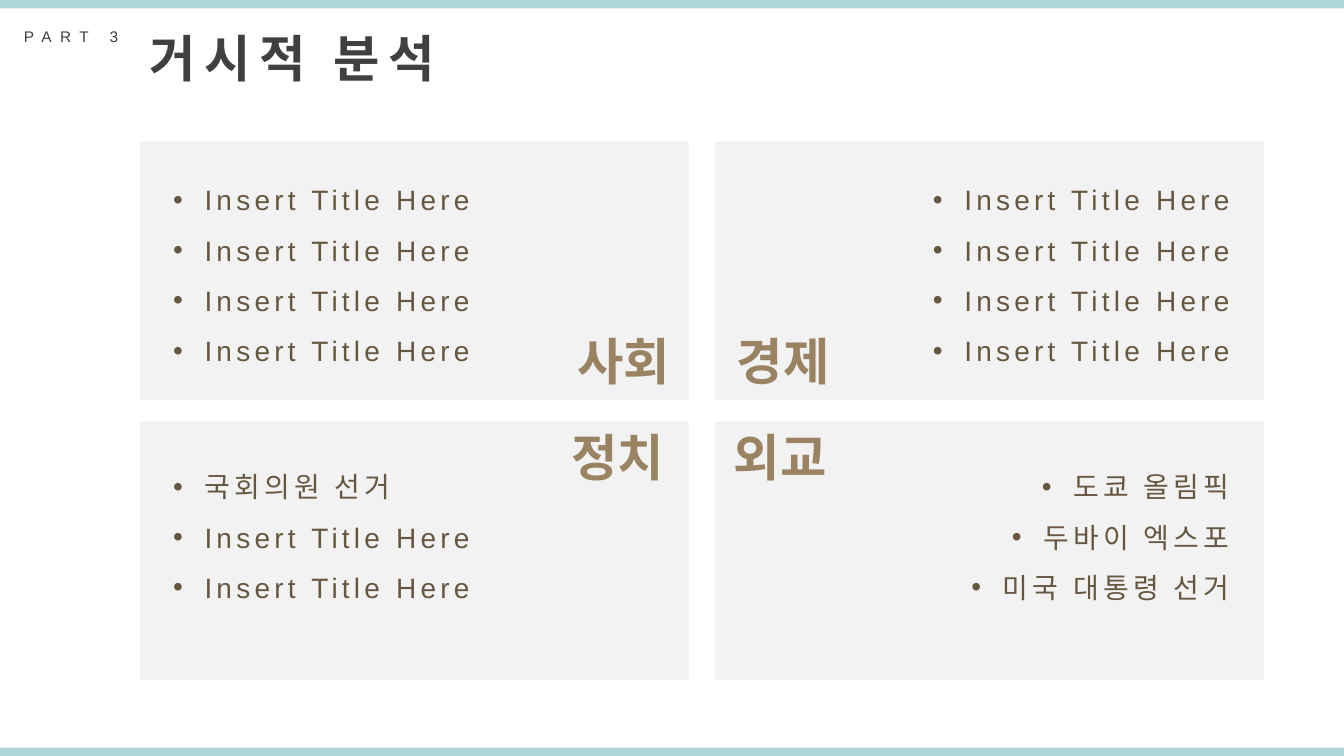
from pptx import Presentation
from pptx.dml.color import RGBColor
from pptx.enum.shapes import MSO_SHAPE
from pptx.enum.text import MSO_AUTO_SIZE, PP_ALIGN
from pptx.util import Pt
from lxml import etree

RECT = MSO_SHAPE.RECTANGLE
GROW = MSO_AUTO_SIZE.SHAPE_TO_FIT_TEXT
LEFT, MID, RIGHT = PP_ALIGN.LEFT, PP_ALIGN.CENTER, PP_ALIGN.RIGHT
NS = "{http://schemas.openxmlformats.org/drawingml/2006/main}"
KOREAN = "Noto Sans CJK KR"
COLORS = {"bar": "AFD7D9", "panel": "F2F2F2", "dark": "404040",
          "label": "9A8362", "item": "665741"}
WIDTH, HEIGHT, BAR = 960, 540, 6

deck = Presentation()
deck.slide_width, deck.slide_height = Pt(WIDTH), Pt(HEIGHT)
slide = deck.slides.add_slide(deck.slide_layouts[6])


def add_rect(box, color):
    rect = slide.shapes.add_shape(RECT, *map(Pt, box))
    rect.shadow.inherit = False
    rect.fill.solid()
    rect.fill.fore_color.rgb = RGBColor.from_string(COLORS[color])
    rect.line.fill.background()


def add_text(box, text, size, color, align=LEFT, font="Arial",
             bold=False, gap=0, wrap=False):
    """Add a text box; gap is the letter spacing in points."""
    frame = slide.shapes.add_textbox(*map(Pt, box)).text_frame
    frame.text = text
    frame.word_wrap = wrap
    frame.auto_size = GROW
    for para in frame.paragraphs:
        para.alignment = align
        run = para.runs[0]
        run.font.size = Pt(size)
        run.font.bold = bold
        run.font.name = font
        run.font.color.rgb = RGBColor.from_string(COLORS[color])
        props = run.font._element
        etree.SubElement(props, NS + "ea", typeface=KOREAN)
        if gap:
            props.set("spc", str(gap * 100))
    return frame


# Bars and heading
for top in (0, HEIGHT - BAR):
    add_rect((0, top, WIDTH, BAR), "bar")
add_text((100, 16, 245.5, 51), "거시적 분석", 36, "dark",
         font=KOREAN, bold=True, gap=6)
add_text((10, 16, 90, 21), "PART 3", 11, "dark", gap=6)

# Two by two panels
for row in range(2):
    for col in range(2):
        add_rect((100 + 411 * col, 101 + 200 * row, 392, 184.5), "panel")

# Panel labels, gathered around the centre
labels = [
    ("경제", 501, 232, 98.5, RIGHT),
    ("사회", 397.5, 232, 88, RIGHT),
    ("정치", 401, 301, 95, LEFT),
    ("외교", 508, 301, 98.5, MID),
]
for text, left, top, width, align in labels:
    add_text((left, top, width, 51), text, 36, "label", align,
             bold=True, wrap=True)

# Bulleted lists
title = "Insert Title Here"
lists = [
    (116.5, 115, 231, LEFT, [title] * 4),
    (654.5, 115, 231, RIGHT, [title] * 4),
    (116.5, 320, 231, LEFT, ["국회의원 선거", title, title]),
    (669, 320, 216.5, RIGHT, ["도쿄 올림픽", "두바이 엑스포", "미국 대통령 선거"]),
]
indent = Pt(22.5)
for left, top, width, align, items in lists:
    box = (left, top, width, 36 * len(items) + 8)
    frame = add_text(box, "\n".join(items), 20, "item", align, gap=3)
    for para in frame.paragraphs:
        para.line_spacing = 1.5
        props = para._p.get_or_add_pPr()
        props.set("marL", str(indent))
        props.set("indent", str(-indent))
        etree.SubElement(props, NS + "buFont", typeface="Arial")
        etree.SubElement(props, NS + "buChar", char="•")

deck.save("out.pptx")
